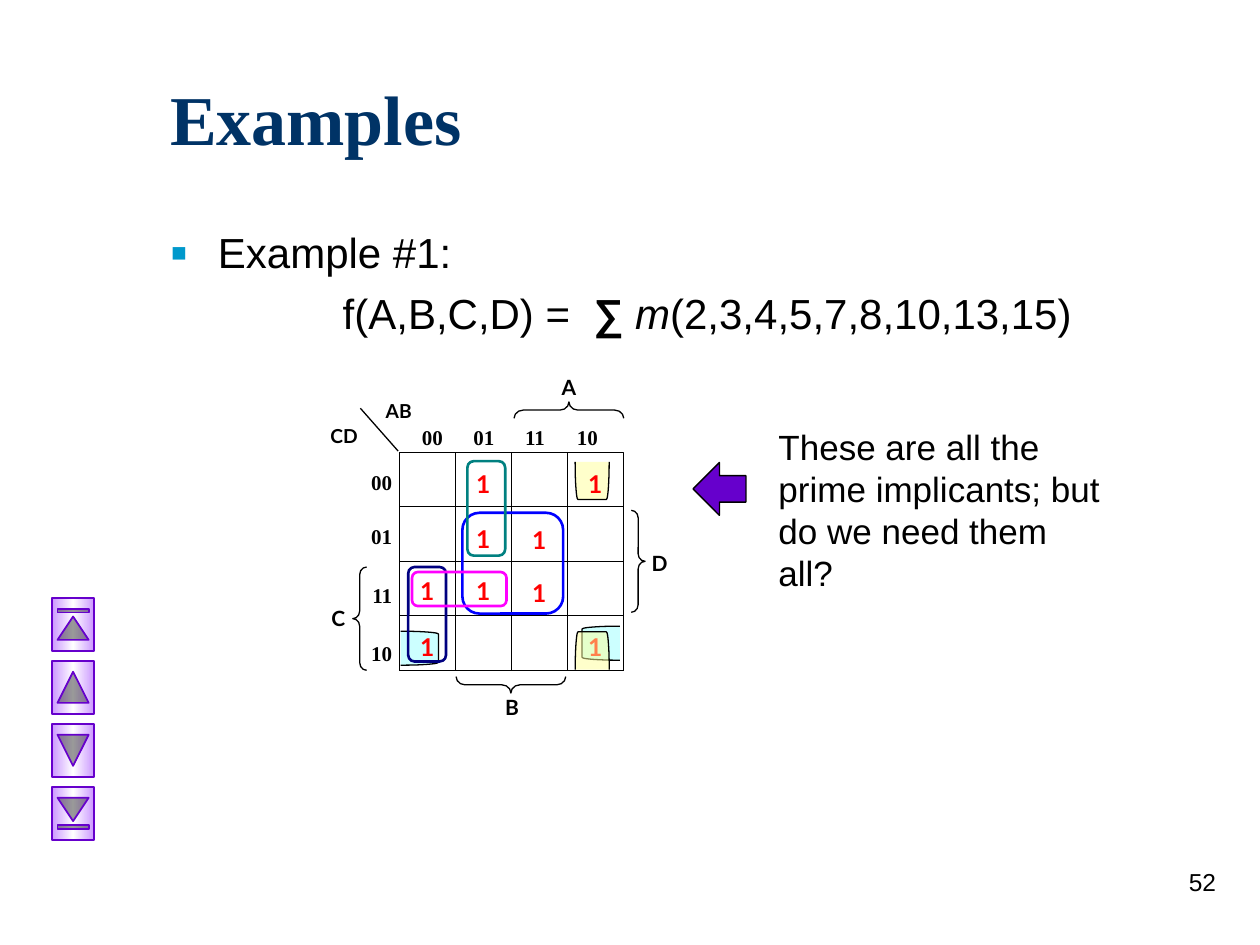
from lxml.etree import SubElement
from pptx import Presentation
from pptx.dml.color import RGBColor
from pptx.enum.shapes import MSO_CONNECTOR, MSO_SHAPE
from pptx.enum.text import MSO_ANCHOR, MSO_AUTO_SIZE, PP_ALIGN
from pptx.oxml.ns import qn
from pptx.util import Inches, Pt

BLACK = RGBColor(0x00, 0x00, 0x00)
NAVY_TITLE = RGBColor(0x00, 0x33, 0x66)
BULLET_BLUE = RGBColor(0x00, 0x99, 0xCC)
RED = RGBColor(0xFF, 0x00, 0x00)
PURPLE = RGBColor(0x66, 0x00, 0xCC)
LILAC = RGBColor(0xCC, 0x99, 0xFF)
WHITE = RGBColor(0xFF, 0xFF, 0xFF)
YELLOW = RGBColor(0xFF, 0xFF, 0x99)
CYAN = RGBColor(0xCC, 0xFF, 0xFF)
BLUE = RGBColor(0x00, 0x00, 0xFF)
NAVY = RGBColor(0x00, 0x00, 0x80)
TEAL = RGBColor(0x00, 0x80, 0x80)
MAGENTA = RGBColor(0xFF, 0x00, 0xFF)
SANS, SERIF, LABEL = "Arial", "Times New Roman", "Lato"

presentation = Presentation()
presentation.slide_width, presentation.slide_height = Inches(10), Inches(7.5)
slide = presentation.slides.add_slide(presentation.slide_layouts[1])


def add_text(paragraph, text, size=12, font=SANS, color=BLACK, bold=False,
             italic=False, align=PP_ALIGN.LEFT, before=0):
    paragraph.alignment = align
    paragraph.space_before = Pt(before)
    run = paragraph.add_run()
    run.text = text
    run.font.size, run.font.name = Pt(size), font
    run.font.bold, run.font.italic = bold, italic
    run.font.color.rgb = color


def add_shape(kind, box, fill=None, line=BLACK, weight=0.75, rotation=0, adjust=None):
    shape = slide.shapes.add_shape(kind, *map(Inches, box))
    shape.shadow.inherit = False
    shape.rotation = rotation
    shape.line.color.rgb, shape.line.width = line, Pt(weight)
    if fill is None:
        shape.fill.background()
    else:
        shape.fill.solid()
        shape.fill.fore_color.rgb = fill
    if adjust is not None:
        shape.adjustments[0] = adjust
    return shape


# Title
title = slide.shapes.title
title.left, title.top, title.width, title.height = map(Inches, (1.25, 0.5, 8.5, 0.86))
title.text_frame.vertical_anchor = MSO_ANCHOR.MIDDLE
title.text_frame.auto_size = MSO_AUTO_SIZE.NONE
add_text(title.text_frame.paragraphs[0], "Examples", size=40, font=SERIF,
         color=NAVY_TITLE, bold=True)

# Body: bulleted heading and indented formula
body = slide.placeholders[1]
body.left, body.top, body.width, body.height = map(Inches, (1.25, 1.75, 8.5, 1.25))
body.text_frame.auto_size = MSO_AUTO_SIZE.NONE
heading = body.text_frame.paragraphs[0]
add_text(heading, "Example #1:", size=24, before=6)
properties = heading._p.get_or_add_pPr()
properties.set("marL", str(Inches(0.38)))
properties.set("indent", str(Inches(-0.38)))
bullet_color = SubElement(properties, qn("a:buClr"))
SubElement(bullet_color, qn("a:srgbClr"), val=str(BULLET_BLUE))
SubElement(properties, qn("a:buSzPct"), val="120000")
SubElement(properties, qn("a:buChar"), char="▪")

formula = body.text_frame.add_paragraph()
for text, style in [("f(A,B,C,D) =  ", {}), ("∑ ", {"bold": True}),
                    ("m", {"italic": True}), ("(2,3,4,5,7,8,10,13,15)", {})]:
    add_text(formula, text, size=24, before=6, **style)
properties = formula._p.get_or_add_pPr()
properties.set("marL", str(Inches(1.37)))
properties.set("indent", "0")
SubElement(properties, qn("a:buNone"))

# Navigation buttons, turned to point up and down
buttons = [MSO_SHAPE.ACTION_BUTTON_BEGINNING, MSO_SHAPE.ACTION_BUTTON_BACK_OR_PREVIOUS,
           MSO_SHAPE.ACTION_BUTTON_FORWARD_OR_NEXT, MSO_SHAPE.ACTION_BUTTON_END]
for index, kind in enumerate(buttons):
    button = add_shape(kind, (0.37, 4.79 + 0.5 * index, 0.42, 0.33),
                       line=PURPLE, weight=1, rotation=90)
    button.fill.gradient()
    button.fill.gradient_angle = 90
    stops = button._element.spPr.find(".//" + qn("a:gsLst"))
    stops.clear()
    for position, color in [(0, LILAC), (50000, WHITE), (100000, LILAC)]:
        stop = SubElement(stops, qn("a:gs"), pos=str(position))
        SubElement(stop, qn("a:srgbClr"), val=str(color))

# Arrow beside the comment
add_shape(MSO_SHAPE.LEFT_ARROW, (5.5, 3.67, 0.42, 0.42), fill=PURPLE)

# Wrap-around groups behind the map
top_wrap = add_shape(MSO_SHAPE.LEFT_BRACKET, (4.55, 3.68, 0.3, 0.27), YELLOW, rotation=270)
add_shape(MSO_SHAPE.LEFT_BRACKET, (4.62, 4.97, 0.3, 0.27), CYAN)
add_shape(MSO_SHAPE.RIGHT_BRACKET, (3.18, 5.01, 0.3, 0.27), CYAN)

# Map outline and grid lines
LEFT, TOP, WIDTH, HEIGHT = 3.17, 3.59, 1.78, 1.73
outline = add_shape(MSO_SHAPE.RECTANGLE, (LEFT, TOP, WIDTH, HEIGHT))
columns = [LEFT + WIDTH * index / 4 for index in range(4)]
rows = [TOP + HEIGHT * index / 4 for index in range(5)]
lines = [(x, TOP, x, TOP + HEIGHT) for x in columns[1:]]
lines += [(LEFT, y, LEFT + WIDTH, y) for y in rows[1:]]
lines.append((3.16, 3.58, 2.86, 3.24))  # slash between AB and CD
middle_sites = {lines[1]: (0, 2), lines[4]: (1, 3)}
for ends in lines:
    connector = slide.shapes.add_connector(MSO_CONNECTOR.STRAIGHT, *map(Inches, ends))
    connector.line.color.rgb, connector.line.width = BLACK, Pt(0.75)
    SubElement(connector._element.spPr, qn("a:effectLst"))
    if ends in middle_sites:
        begin, end = middle_sites[ends]
        connector.begin_connect(outline, begin)
        connector.end_connect(outline, end)

# Braces for the variables
for kind, box, rotation in [
    (MSO_SHAPE.LEFT_BRACE, (2.8, 4.5, 0.11, 0.82), 0),
    (MSO_SHAPE.LEFT_BRACE, (4.45, 2.82, 0.13, 0.87), 90),
    (MSO_SHAPE.LEFT_BRACE, (3.99, 5, 0.13, 0.87), 270),
    (MSO_SHAPE.RIGHT_BRACE, (5.01, 4.05, 0.11, 0.81), 0),
]:
    add_shape(kind, box, rotation=rotation, adjust=0.55)

# Text boxes: variable names, ones in the cells, comment, page number
center, right = PP_ALIGN.CENTER, PP_ALIGN.RIGHT
name_style = {"font": LABEL, "bold": True, "align": center}
one_style = {**name_style, "size": 14, "color": RED}
texts = [
    ("A", (4.35, 2.92, 0.33, 0.27), name_style),
    ("B", (3.9, 5.46, 0.33, 0.26), name_style),
    ("C", (2.52, 4.76, 0.33, 0.35), name_style),
    ("D", (5.07, 4.32, 0.33, 0.35), name_style),
    ("AB", (2.91, 3.12, 0.51, 0.29), {**name_style, "size": 11}),
    ("CD", (2.42, 3.32, 0.62, 0.29), {**name_style, "size": 11}),
    ("These are all the prime implicants; but do we need them all?",
     (6.08, 3.33, 2.83, 1.44), {"size": 20, "before": 12.5}),
    ("52", (7.67, 6.83, 2.08, 0.5), {"size": 14, "align": right, "before": 8.8}),
]
one_cells = [(1, 3.67), (3, 3.67), (1, 4.11), (2, 4.12), (0, 4.52), (1, 4.52),
             (2, 4.54), (0, 4.97), (3, 4.97)]
texts += [("1", (columns[column], top, 0.44, 0.35), one_style) for column, top in one_cells]
for text, box, style in texts:
    frame = slide.shapes.add_textbox(*map(Inches, box)).text_frame
    frame.word_wrap = True
    add_text(frame.paragraphs[0], text, **style)

# Row codes, spaced down the map
frame = slide.shapes.add_textbox(*map(Inches, (2.82, 3.68, 0.39, 1.79))).text_frame
frame.word_wrap = True
for index, (code, gap) in enumerate([("00", 0), ("01", 16.5), ("11", 19), ("10", 19)]):
    paragraph = frame.add_paragraph() if index else frame.paragraphs[0]
    add_text(paragraph, code, font=SERIF, bold=True, align=right, before=gap)

# Column codes, set on tab stops
frame = slide.shapes.add_textbox(*map(Inches, (3.25, 3.32, 1.66, 0.35))).text_frame
frame.word_wrap = True
add_text(frame.paragraphs[0], "00\t01\t11\t10", font=SERIF, bold=True)
tabs = SubElement(frame.paragraphs[0]._p.get_or_add_pPr(), qn("a:tabLst"))
for index in range(1, 4):
    SubElement(tabs, qn("a:tab"), pos=str(Inches(0.41 * index)), algn="l")

# Prime implicant loops
for box, color in [
    ((3.67, 4.07, 0.8, 0.8), BLUE),
    ((3.24, 4.5, 0.3, 0.75), NAVY),
    ((3.71, 3.66, 0.3, 0.75), TEAL),
    ((3.27, 4.54, 0.75, 0.27), MAGENTA),
]:
    add_shape(MSO_SHAPE.ROUNDED_RECTANGLE, box, line=color, weight=1.5, adjust=0.17)

# Half-transparent yellow wrap-around group
bottom_wrap = add_shape(MSO_SHAPE.LEFT_BRACKET, (4.55, 5.03, 0.3, 0.27), YELLOW, rotation=90)
for wrap in (top_wrap, bottom_wrap):
    fill_color = wrap._element.spPr.find(qn("a:solidFill")).find(qn("a:srgbClr"))
    SubElement(fill_color, qn("a:alpha"), val="50000")

presentation.save("out.pptx")
